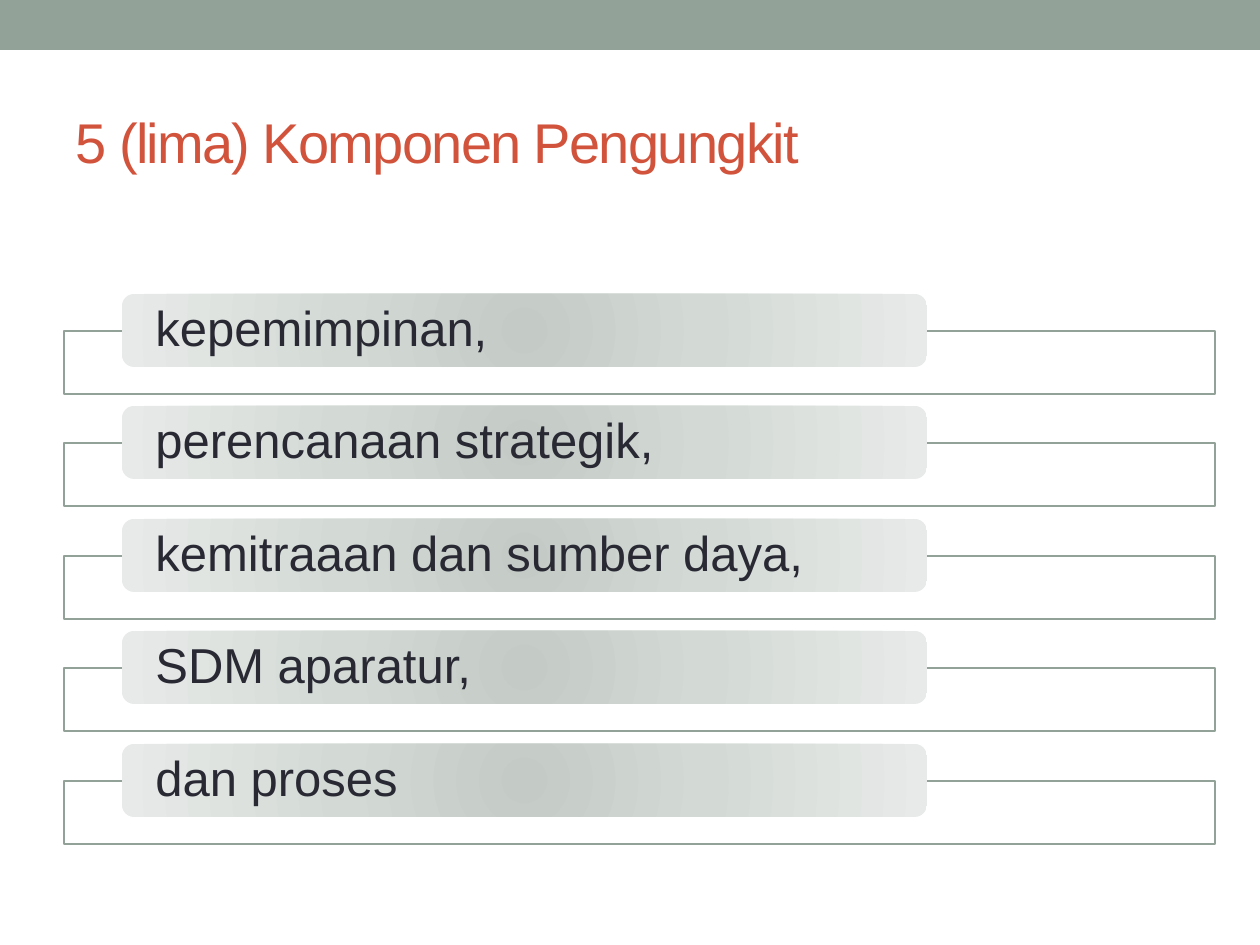
from lxml import etree
from pptx import Presentation
from pptx.dml.color import RGBColor
from pptx.enum.shapes import MSO_SHAPE as SHAPE
from pptx.enum.text import MSO_ANCHOR as ANCHOR, PP_ALIGN as ALIGN
from pptx.oxml import parse_xml
from pptx.oxml.ns import nsdecls, qn
from pptx.util import Emu, Pt

SCALE = 914400 / 126
ITEMS = ["kepemimpinan,", "perencanaan strategik,", "kemitraaan dan sumber daya,",
         "SDM aparatur,", "dan proses"]
STOPS = [(0, "C4CAC6"), (45, "D3DAD6"), (100, "E7EAE8")]


def px(*values):
    return [Emu(round(v * SCALE)) for v in values]


def write(sp, text, size, color, inset, spacing=1.0, track=0):
    tf = sp.text_frame
    tf.word_wrap = True
    tf.vertical_anchor = ANCHOR.MIDDLE
    tf.margin_left, tf.margin_right = px(inset, inset)
    tf.margin_top = tf.margin_bottom = 0
    p = tf.paragraphs[0]
    p.alignment = ALIGN.LEFT
    p.line_spacing = spacing
    r = p.add_run()
    r.text = text
    r.font.name = "Arial"
    r.font.size = Pt(size)
    r.font.color.rgb = RGBColor.from_string(color)
    if track:
        r.font._element.set("spc", str(track * 100))


prs = Presentation()
prs.slide_width, prs.slide_height = px(1260, 945)
s = prs.slides.add_slide(prs.slide_layouts[6])

band = s.shapes.add_shape(SHAPE.RECTANGLE, *px(0, 0, 1260, 50))
band.shadow.inherit = False
band.fill.solid()
band.fill.fore_color.rgb = RGBColor.from_string("93A299")
band.line.fill.background()

title = s.shapes.add_textbox(*px(63, 73, 1134, 136))
write(title, "5 (lima) Komponen Pengungkit", size=32, color="D2533C", inset=13, track=-1)

gradient = (
    f'<a:gradFill {nsdecls("a")} rotWithShape="1"><a:gsLst>'
    + "".join(f'<a:gs pos="{pos * 1000}"><a:srgbClr val="{c}"/></a:gs>' for pos, c in STOPS)
    + '</a:gsLst><a:path path="circle">'
    '<a:fillToRect l="100000" t="100000" r="100000" b="100000"/></a:path></a:gradFill>'
)

for i, item in enumerate(ITEMS):
    dy = i * 225 // 2

    frame = s.shapes.add_shape(SHAPE.RECTANGLE, *px(64, 331 + dy, 1151, 63))
    frame.shadow.inherit = False
    frame.fill.solid()
    frame.fill.fore_color.rgb = RGBColor.from_string("FFFFFF")
    color = frame._element.spPr.find(qn("a:solidFill")).find(qn("a:srgbClr"))
    etree.SubElement(color, qn("a:alpha")).set("val", "90000")
    frame.line.color.rgb = RGBColor.from_string("93A299")
    frame.line.width = Pt(0.75)

    pill = s.shapes.add_shape(SHAPE.ROUNDED_RECTANGLE, *px(122, 294 + dy, 805, 73))
    pill.shadow.inherit = False
    pill.fill.gradient()
    spPr = pill._element.spPr
    spPr.replace(spPr.find(qn("a:gradFill")), parse_xml(gradient))
    pill.line.fill.background()
    write(pill, item, size=28, color="292934", inset=30, spacing=0.9)

prs.save("out.pptx")
